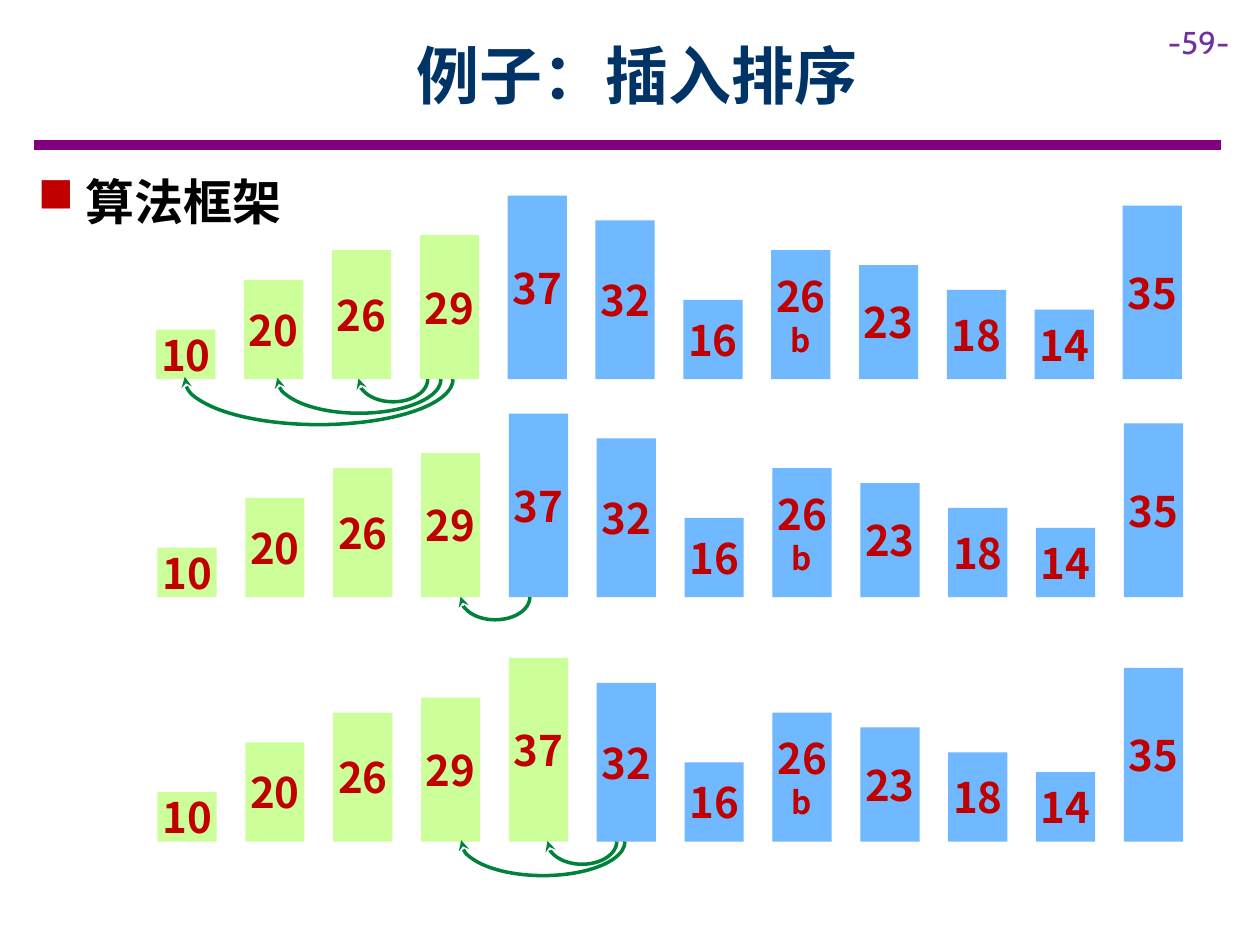
from dataclasses import dataclass

from lxml import etree
from pptx import Presentation
from pptx.dml.color import RGBColor
from pptx.enum.shapes import MSO_CONNECTOR as CONNECTOR, MSO_SHAPE as SHAPE
from pptx.enum.text import MSO_ANCHOR as ANCHOR, MSO_AUTO_SIZE as AUTO_SIZE, PP_ALIGN as ALIGN
from pptx.oxml.ns import qn
from pptx.util import Inches, Pt


@dataclass(frozen=True)
class Theme:
    main_font: str = "Noto Sans CJK SC"
    number_font: str = "Cabin"
    title: str = "003366"
    heading: str = "000000"
    accent: str = "C00000"
    page_number: str = "7030A0"
    rule: str = "800080"
    sorted_bar: str = "CCFF99"
    unsorted_bar: str = "70B8FF"
    arrow: str = "00823B"
    title_size: int = 36
    heading_size: int = 28
    bar_size: int = 24
    small_size: int = 18


class SlideBuilder:
    def __init__(self, slide, theme):
        self.slide = slide
        self.theme = theme

    def style(self, paragraph, size, color, bold=True, font_name=None):
        """Format every run, with the same typeface for Latin and Chinese."""
        for run in paragraph.runs:
            font = run.font
            font.size, font.bold = Pt(size), bold
            font.color.rgb = RGBColor.from_string(color)
            font.name = font_name or self.theme.main_font
            etree.SubElement(run._r.get_or_add_rPr(), qn("a:ea"), typeface=font.name)

    def text(self, content, left, top, width, height, size, color, **font_style):
        box = self.slide.shapes.add_textbox(*map(Inches, (left, top, width, height)))
        frame = box.text_frame
        frame.word_wrap = True
        frame.text = content
        self.style(frame.paragraphs[0], size, color, **font_style)
        return frame

    def title(self, content):
        frame = self.text(content, 0.9, 0.09, 8.31, 1, self.theme.title_size, self.theme.title)
        frame.vertical_anchor = ANCHOR.MIDDLE
        frame.paragraphs[0].alignment = ALIGN.CENTER

    def page_number(self, content):
        frame = self.text(content, 9.17, 0.13, 0.83, 0.4, self.theme.small_size,
                          self.theme.page_number, bold=False, font_name=self.theme.number_font)
        frame.auto_size = AUTO_SIZE.SHAPE_TO_FIT_TEXT

    def heading(self, content):
        frame = self.text(content, 0.2, 1.31, 9.45, 0.57,
                          self.theme.heading_size, self.theme.heading)
        paragraph = frame.paragraphs[0]
        properties = paragraph._p.get_or_add_pPr()
        properties.set("marL", str(Inches(0.38)))
        properties.set("indent", str(-Inches(0.38)))
        bullet_color = etree.SubElement(properties, qn("a:buClr"))
        etree.SubElement(bullet_color, qn("a:srgbClr"), val=self.theme.accent)
        etree.SubElement(properties, qn("a:buChar"), char="■")
        paragraph.space_after = Pt(6)

    def rule(self, left, right, y):
        line = self.slide.shapes.add_connector(
            CONNECTOR.STRAIGHT, Inches(left), Inches(y), Inches(right), Inches(y))
        line.line.color.rgb = RGBColor.from_string(self.theme.rule)
        line.line.width = Pt(6)
        etree.SubElement(line._element.spPr, qn("a:effectLst"))

    def bar(self, label, left, top, width, height, color):
        bar = self.slide.shapes.add_shape(
            SHAPE.RECTANGLE, *map(Inches, (left, top, width, height)))
        bar.shadow.inherit = False
        bar.fill.solid()
        bar.fill.fore_color.rgb = RGBColor.from_string(color)
        bar.line.fill.background()
        frame = bar.text_frame
        frame.margin_left = frame.margin_right = 0
        frame.margin_top = frame.margin_bottom = Inches(0.1)
        frame.vertical_anchor = ANCHOR.MIDDLE
        frame.text = label
        for paragraph in frame.paragraphs:
            paragraph.alignment = ALIGN.CENTER
            size = self.theme.bar_size if paragraph.text.isdigit() else self.theme.small_size
            self.style(paragraph, size, self.theme.accent)

    def move_arrow(self, center, baseline, span, depth):
        """Draw an arc hanging below the baseline, pointing left."""
        arc = self.slide.shapes.add_shape(
            SHAPE.ARC, Inches(center - depth / 2), Inches(baseline - span / 2),
            Inches(depth), Inches(span))
        arc.rotation = 90
        arc.adjustments[0], arc.adjustments[1] = 162, 54.6
        arc.shadow.inherit = False
        arc.fill.background()
        arc.line.color.rgb = RGBColor.from_string(self.theme.arrow)
        arc.line.width = Pt(2)
        etree.SubElement(arc.line._get_or_add_ln(), qn("a:tailEnd"), type="stealth")

    def sorting_step(self, labels, sorted_count, left, baseline, moves):
        pitch, inches_per_unit = 7.67 / 11, 0.0394
        for index, label in enumerate(labels):
            height = int(label.split()[0]) * inches_per_unit
            color = self.theme.sorted_bar if index < sorted_count else self.theme.unsorted_bar
            self.bar(label, left + index * pitch, baseline - height, 0.47, height, color)
        for center, span, depth in moves:
            self.move_arrow(center, baseline, span, depth)


def main():
    presentation = Presentation()
    presentation.slide_width, presentation.slide_height = Inches(10), Inches(7.5)
    slide = presentation.slides.add_slide(presentation.slide_layouts[6])
    builder = SlideBuilder(slide, Theme())

    builder.rule(0.27, 9.69, 1.15)
    builder.page_number("-59-")
    builder.heading("算法框架")
    builder.title("例子：插入排序")

    labels = ["10", "20", "26", "29", "37", "32", "16", "26\nb", "23", "18", "14", "35"]
    short, medium, long = (0.55, 0.36), (1.3, 0.54), (2.13, 0.72)
    steps = [
        (4, 1.24, 3.01, [(3.12, *short), (2.85, *medium), (2.53, *long)]),
        (4, 1.25, 4.74, [(3.93, *short)]),
        (5, 1.25, 6.68, [(4.62, *short), (4.31, *medium)]),
    ]
    for sorted_count, left, baseline, moves in steps:
        builder.sorting_step(labels, sorted_count, left, baseline, moves)

    presentation.save("out.pptx")


if __name__ == "__main__":
    main()
